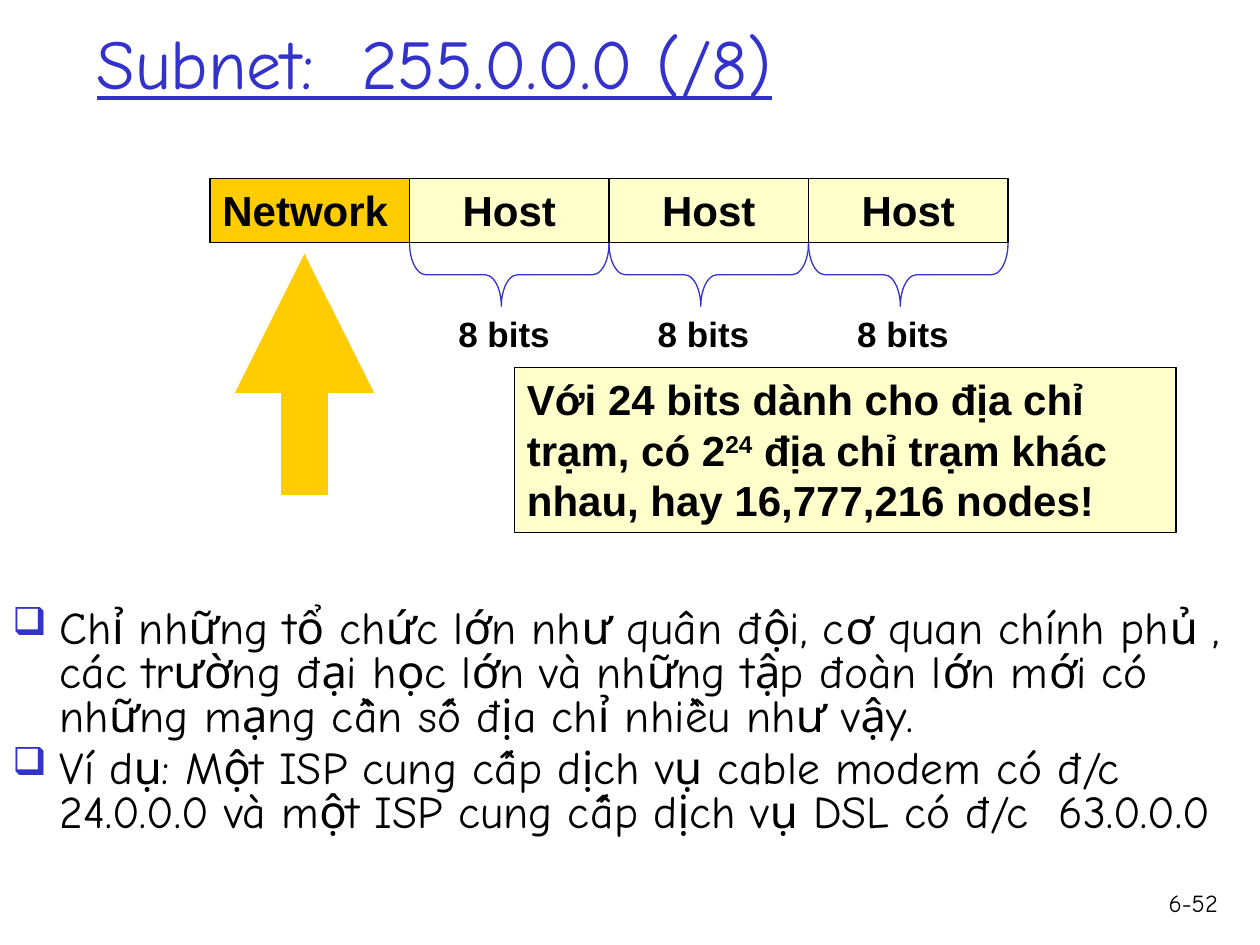
from lxml import etree
from pptx import Presentation
from pptx.dml.color import RGBColor
from pptx.enum import shapes, text
from pptx.oxml import ns
from pptx.util import Pt

BLUE = RGBColor(0x33, 0x33, 0xCC)
BLACK = RGBColor(0, 0, 0)
GOLD = RGBColor(0xFF, 0xCC, 0x00)
CREAM = RGBColor(0xFF, 0xFF, 0xCC)

LEFT, CENTER, RIGHT = text.PP_ALIGN.LEFT, text.PP_ALIGN.CENTER, text.PP_ALIGN.RIGHT
ROUNDED, BOLD = "Comic Neue", "Arial"

OCTETS = ["Network", "Host", "Host", "Host"]
OCTET_LEFT, OCTET_TOP = 120, 102
OCTET_WIDTH, OCTET_HEIGHT = 114, 36.5
BRACE_DEPTH = 36

POINTS = [
    "Chỉ những tổ chức lớn như quân đội, cơ quan chính phủ , các trường đại học lớn "
    "và những tập đoàn lớn mới có những mạng cần số địa chỉ nhiều như vậy.",
    "Ví dụ: Một ISP cung cấp dịch vụ cable modem có đ/c 24.0.0.0 "
    "và một ISP cung cấp dịch vụ DSL có đ/c  63.0.0.0",
]


def add_sub(parent, tag, **attributes):
    return etree.SubElement(parent, ns.qn(tag), attributes)


def add_run(paragraph, words, size, face, color=BLACK, bold=False):
    run = paragraph.add_run()
    run.text = words
    run.font.size = Pt(size)
    run.font.name = face
    run.font.bold = bold
    run.font.color.rgb = color
    return run


def add_text(slide, box, align=LEFT):
    """Add an empty wrapping text box and return its frame."""
    frame = slide.shapes.add_textbox(*map(Pt, box)).text_frame
    frame.word_wrap = True
    frame.paragraphs[0].alignment = align
    return frame


def add_panel(slide, box, fill, align):
    """Add an outlined rectangle and return its first paragraph."""
    panel = slide.shapes.add_shape(shapes.MSO_SHAPE.RECTANGLE, *map(Pt, box))
    panel.shadow.inherit = False
    panel.fill.solid()
    panel.fill.fore_color.rgb = fill
    panel.line.color.rgb = BLACK
    panel.line.width = Pt(0.75)
    frame = panel.text_frame
    frame.word_wrap = True
    frame.vertical_anchor = text.MSO_ANCHOR.TOP
    frame.paragraphs[0].alignment = align
    return frame.paragraphs[0]


def add_title(slide, words):
    title = slide.shapes.title
    title.left, title.top, title.width, title.height = map(Pt, (48, 0, 627, 70))
    title.text_frame.vertical_anchor = text.MSO_ANCHOR.MIDDLE
    paragraph = title.text_frame.paragraphs[0]
    paragraph.alignment = LEFT
    add_run(paragraph, words, 40, ROUNDED, BLUE).font.underline = True


def add_octet(slide, index, label):
    is_network = label == "Network"
    box = (OCTET_LEFT + index * OCTET_WIDTH, OCTET_TOP, OCTET_WIDTH, OCTET_HEIGHT)
    paragraph = add_panel(slide, box, GOLD if is_network else CREAM,
                          LEFT if is_network else CENTER)
    add_run(paragraph, label, 24, BOLD, bold=True)


def add_bit_count(slide, index):
    """Add the brace under one octet and its number of bits."""
    center = OCTET_LEFT + (index + 0.5) * OCTET_WIDTH
    brace = slide.shapes.add_shape(
        shapes.MSO_SHAPE.RIGHT_BRACE, Pt(center - BRACE_DEPTH / 2), Pt(100),
        Pt(BRACE_DEPTH), Pt(OCTET_WIDTH))
    brace.rotation = 90
    brace.adjustments[0] = 0.26
    brace.adjustments[1] = 0.54
    brace.shadow.inherit = False
    brace.fill.background()
    brace.line.color.rgb = BLUE
    brace.line.width = Pt(0.75)
    frame = add_text(slide, (center - 51, 175, 96, 31), CENTER)
    add_run(frame.paragraphs[0], "8 bits", 20, BOLD, bold=True)


def add_network_arrow(slide):
    arrow = slide.shapes.add_connector(
        shapes.MSO_CONNECTOR.STRAIGHT, Pt(174), Pt(283), Pt(174), Pt(145))
    arrow.line.color.rgb = GOLD
    arrow.line.width = Pt(26.5)
    add_sub(arrow.line._get_or_add_ln(), "a:tailEnd", type="triangle")
    add_sub(arrow._element.spPr, "a:effectLst")


def add_host_note(slide):
    paragraph = add_panel(slide, (294, 210, 378, 94.5), CREAM, LEFT)
    add_run(paragraph, "Với 24 bits dành cho địa chỉ trạm, có 2", 24, BOLD, bold=True)
    exponent = add_run(paragraph, "24", 24, BOLD, bold=True)
    exponent.font._element.set("baseline", "30000")
    add_run(paragraph, " địa chỉ trạm khác nhau, hay 16,777,216 nodes!", 24, BOLD, bold=True)


def add_bullets(slide, points):
    frame = add_text(slide, (0, 345, 720, 173.5))
    for index, point in enumerate(points):
        paragraph = frame.add_paragraph() if index else frame.paragraphs[0]
        properties = paragraph._p.get_or_add_pPr()
        properties.set("marL", str(Pt(27)))
        properties.set("indent", str(Pt(-27)))
        add_sub(add_sub(properties, "a:buClr"), "a:srgbClr", val=str(BLUE))
        add_sub(properties, "a:buSzPct", val="85000")
        add_sub(properties, "a:buChar", char="❑")
        paragraph.line_spacing = 0.8
        if index:
            paragraph.space_before = Pt(5.2)
        add_run(paragraph, point, 26, ROUNDED)


def main():
    deck = Presentation()
    deck.slide_width, deck.slide_height = Pt(720), Pt(540)
    slide = deck.slides.add_slide(deck.slide_layouts[5])
    add_title(slide, "Subnet:  255.0.0.0 (/8)")
    for index, label in enumerate(OCTETS):
        add_octet(slide, index, label)
        if label == "Host":
            add_bit_count(slide, index)
    add_network_arrow(slide)
    add_host_note(slide)
    add_bullets(slide, POINTS)
    page = add_text(slide, (654, 504, 49, 36), RIGHT)
    add_run(page.paragraphs[0], "6-52", 14, ROUNDED)
    deck.save("out.pptx")


if __name__ == "__main__":
    main()
